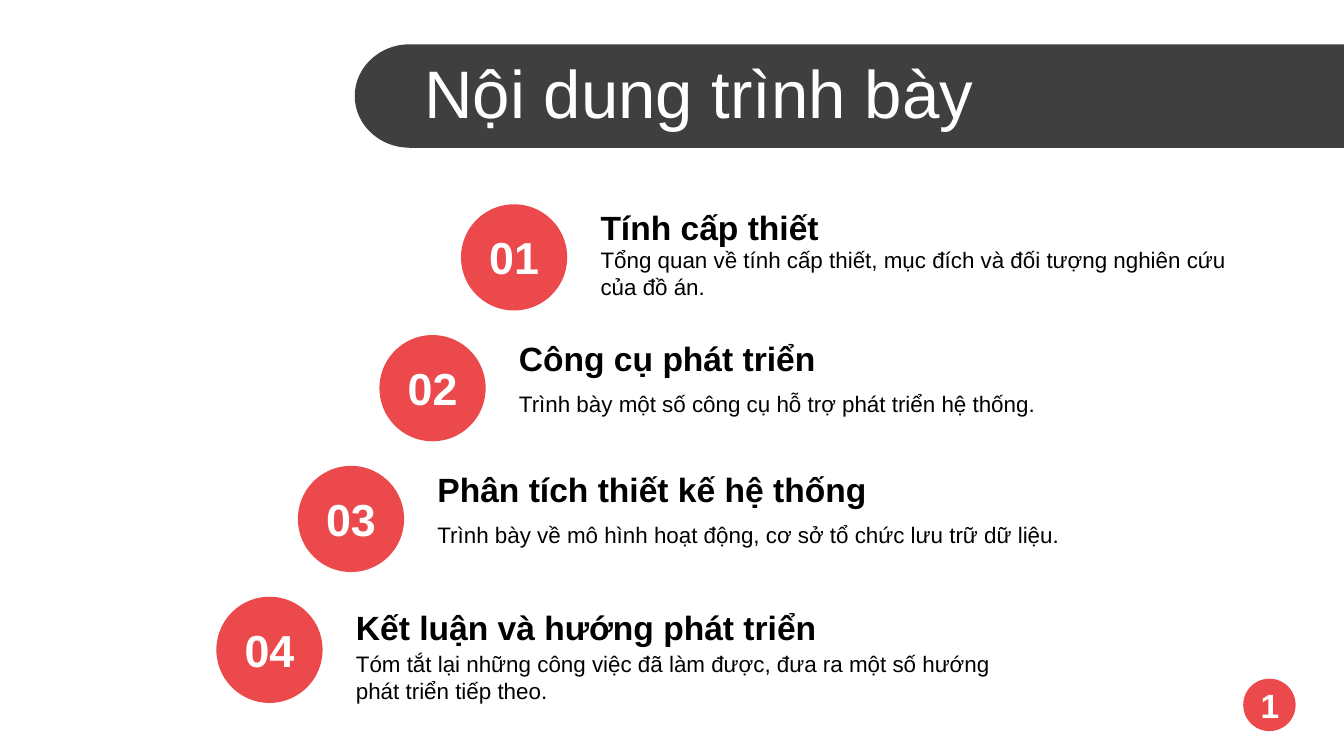
from math import cos, pi, sin

from pptx import Presentation
from pptx.dml.color import RGBColor
from pptx.enum.shapes import MSO_SHAPE
from pptx.enum.text import MSO_ANCHOR, PP_ALIGN
from pptx.util import Inches, Pt

OVAL = MSO_SHAPE.OVAL
MIDDLE = MSO_ANCHOR.MIDDLE
LEFT, CENTER = PP_ALIGN.LEFT, PP_ALIGN.CENTER

WHITE = RGBColor(0xFF, 0xFF, 0xFF)
BLACK = RGBColor(0x00, 0x00, 0x00)
DARK = RGBColor(0x3F, 0x3F, 0x3F)
RED = RGBColor(0xEB, 0x49, 0x4B)

# 16:9 slide
prs = Presentation()
prs.slide_width, prs.slide_height = Inches(10), Inches(10 * 9 / 16)
s = prs.slides.add_slide(prs.slide_layouts[6])


def add_text(x, y, w, h, text, size, color, bold=False, align=LEFT):
    tf = s.shapes.add_textbox(Inches(x), Inches(y), Inches(w), Inches(h)).text_frame
    tf.word_wrap = True
    tf.vertical_anchor = MIDDLE
    p = tf.paragraphs[0]
    p.text = text
    p.alignment = align
    p.font.name, p.font.size, p.font.bold = "Arial", Pt(size), bold
    p.font.color.rgb = color


def paint(sp, color):
    sp.shadow.inherit = False
    sp.fill.solid()
    sp.fill.fore_color.rgb = color
    sp.line.fill.background()


# Title banner: rounded left end, running off to the right edge
cap_x, top, bottom, cap_w = 3.05, 0.33, 1.1, 0.41
mid, half = (top + bottom) / 2, (bottom - top) / 2
STEPS = 48
cap = [(cap_x - cap_w * sin(pi * i / STEPS), mid + half * cos(pi * i / STEPS))
       for i in range(STEPS + 1)]
points = [(Inches(x), Inches(y)) for x, y in [(10, top), (10, bottom)] + cap]
builder = s.shapes.build_freeform(*points[0])
builder.add_line_segments(points[1:], close=True)
paint(builder.convert_to_shape(), DARK)
add_text(3.06, 0.37, 6.94, 0.63, "Nội dung trình bày", 36, WHITE)

# Agenda: heading, heading height, description, its offset, width and height
ITEMS = [
    ("Tính cấp thiết", 0.4,
     "Tổng quan về tính cấp thiết, mục đích và đối tượng nghiên cứu của đồ án.",
     0.26, 5.04, 0.5),
    ("Công cụ phát triển", 0.4,
     "Trình bày một số công cụ hỗ trợ phát triển hệ thống.",
     0.36, 5.33, 0.3),
    ("Phân tích thiết kế hệ thống", 0.4,
     "Trình bày về mô hình hoạt động, cơ sở tổ chức lưu trữ dữ liệu.",
     0.36, 5.23, 0.3),
    ("Kết luận và hướng phát triển", 0.51,
     "Tóm tắt lại những công việc đã làm được, đưa ra một số hướng phát triển tiếp theo.",
     0.28, 5.04, 0.64),
]
STEP_X, STEP_Y = (1.61 - 3.43) / 3, (4.44 - 1.52) / 3
D = 0.79
for i, (heading, heading_h, detail, dy, w, h) in enumerate(ITEMS):
    x, y = 3.43 + i * STEP_X, 1.52 + i * STEP_Y
    sp = s.shapes.add_shape(OVAL, Inches(x), Inches(y), Inches(D), Inches(D))
    paint(sp, RED)
    add_text(x + 0.94, y + dy, w, h, detail, 12, BLACK)
    add_text(x + 0.94, y - 0.03, 5.04, heading_h, heading, 18, BLACK, True)
    add_text(x, y + 0.14, D, 0.5, f"{i + 1:02d}", 24, WHITE, True, CENTER)

# Page number
sp = s.shapes.add_shape(OVAL, Inches(9.25), Inches(5.05), Inches(0.39), Inches(0.39))
paint(sp, RED)
add_text(9.18, 5.05, 0.54, 0.4, "1", 18, WHITE, True, CENTER)

prs.save("out.pptx")
